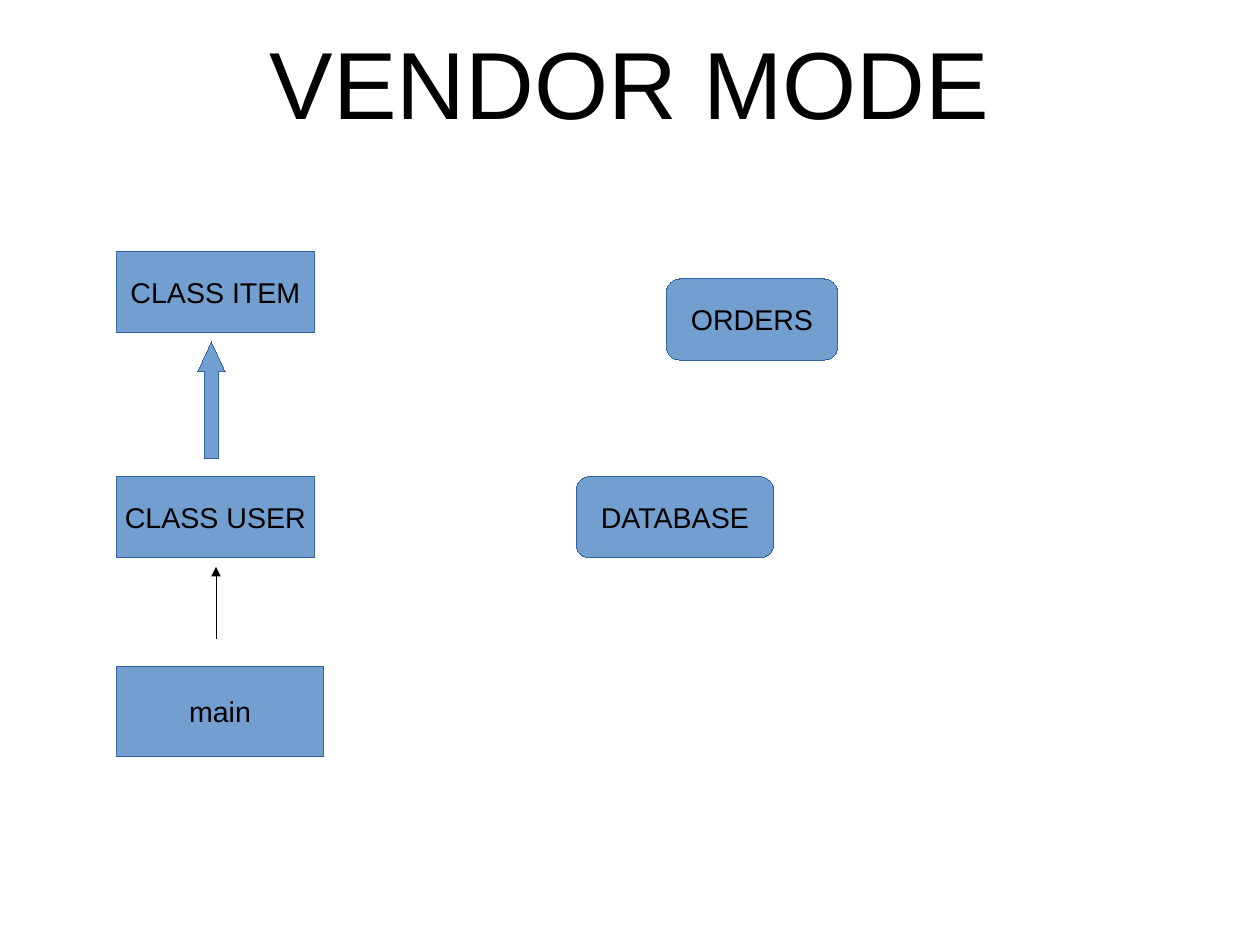
from lxml.etree import SubElement
from pptx import Presentation
from pptx.dml.color import RGBColor
from pptx.enum.shapes import MSO_CONNECTOR, MSO_SHAPE
from pptx.enum.text import MSO_ANCHOR, MSO_AUTO_SIZE, PP_ALIGN
from pptx.oxml.ns import qn
from pptx.util import Inches, Pt

BLACK, BLUE, EDGE = "000000", "729FCF", "3465A4"
HIGH = 0.71  # height of a class or data box
CM = 1 / 2.54  # one centimetre in inches


def color(code):
    return RGBColor.from_string(code)


def write(frame, text, size=18, pad=(0.1, 0.05), wrap=False,
          fit=MSO_AUTO_SIZE.NONE):
    frame.auto_size = fit
    frame.word_wrap = wrap
    frame.vertical_anchor = MSO_ANCHOR.MIDDLE
    frame.margin_left = frame.margin_right = Inches(pad[0])
    frame.margin_top = frame.margin_bottom = Inches(pad[1])
    par = frame.paragraphs[0]
    par.alignment = PP_ALIGN.CENTER
    run = par.add_run()
    run.text = text
    run.font.size = Pt(size)
    run.font.name = "Arial"
    run.font.color.rgb = color(BLACK)


def draw_edge(shape, code):
    # Hairline: the zero width must be written out to override the theme
    shape.line.color.rgb = color(code)
    edge = shape._element.spPr.find(qn("a:ln"))
    edge.set("w", "0")
    return edge


def add_block(slide, kind, box, text=None, adjust=()):
    shape = slide.shapes.add_shape(kind, *map(Inches, box))
    shape.shadow.inherit = False
    shape.fill.solid()
    shape.fill.fore_color.rgb = color(BLUE)
    draw_edge(shape, EDGE)
    for i, value in enumerate(adjust):
        shape.adjustments[i] = value
    if text:
        write(shape.text_frame, text)


def add_arrow(slide, x, start, end):
    arrow = slide.shapes.add_connector(
        MSO_CONNECTOR.STRAIGHT, *map(Inches, (x, start, x, end)))
    SubElement(draw_edge(arrow, BLACK), qn("a:tailEnd"), type="triangle")
    SubElement(arrow._element.spPr, qn("a:effectLst"))


def add_title(slide, box, text):
    title = slide.shapes.title
    title.left, title.top, title.width, title.height = map(Inches, box)
    write(title.text_frame, text, size=60, pad=(0, 0), wrap=True,
          fit=MSO_AUTO_SIZE.SHAPE_TO_FIT_TEXT)


def add_chain(slide, left, top, width):
    # Classes, with the main program below them
    rect = MSO_SHAPE.RECTANGLE
    user = top + 1.97
    add_block(slide, rect, (left, top, width, HIGH), "CLASS ITEM")
    add_block(slide, rect, (left, user, width, HIGH), "CLASS USER")
    add_arrow(slide, left + 0.87, user + 1.42, user + 0.79)
    add_block(slide, rect, (left, top + 3.63, width + 0.08, 0.79), "main")
    # Block arrow between the classes
    add_block(slide, MSO_SHAPE.UP_ARROW,
              (left + 0.71, top + 0.79, 0.24, 1.02), adjust=(0.5, 1.083))


def add_data(slide, left, top):
    # Stored data
    for text, x, y, width in (("DATABASE", 0, 1.73, 1.73),
                              ("ORDERS", 0.79, 0, 1.5)):
        add_block(slide, MSO_SHAPE.ROUNDED_RECTANGLE,
                  (left + x, top + y, width, HIGH), text, (0.167,))


def main():
    deck = Presentation()
    deck.slide_width, deck.slide_height = Inches(28 * CM), Inches(21 * CM)
    slide = deck.slides.add_slide(deck.slide_layouts[5])
    add_title(slide, (0.55, 0.24, 9.92, 0.94), "VENDOR MODE")
    add_chain(slide, 1.02, 2.2, 1.73)
    add_data(slide, 5.04, 2.44)
    deck.save("out.pptx")


if __name__ == "__main__":
    main()
